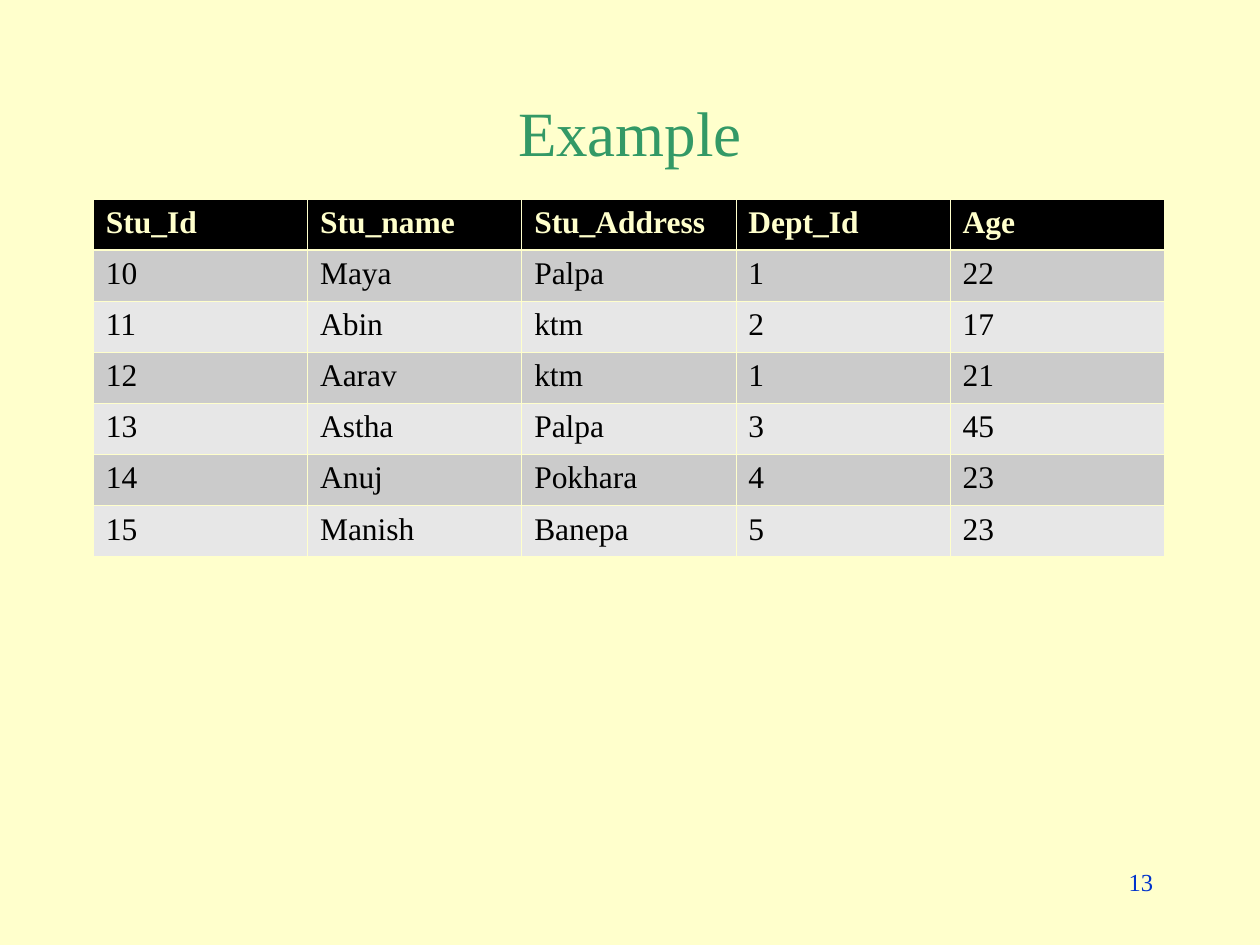
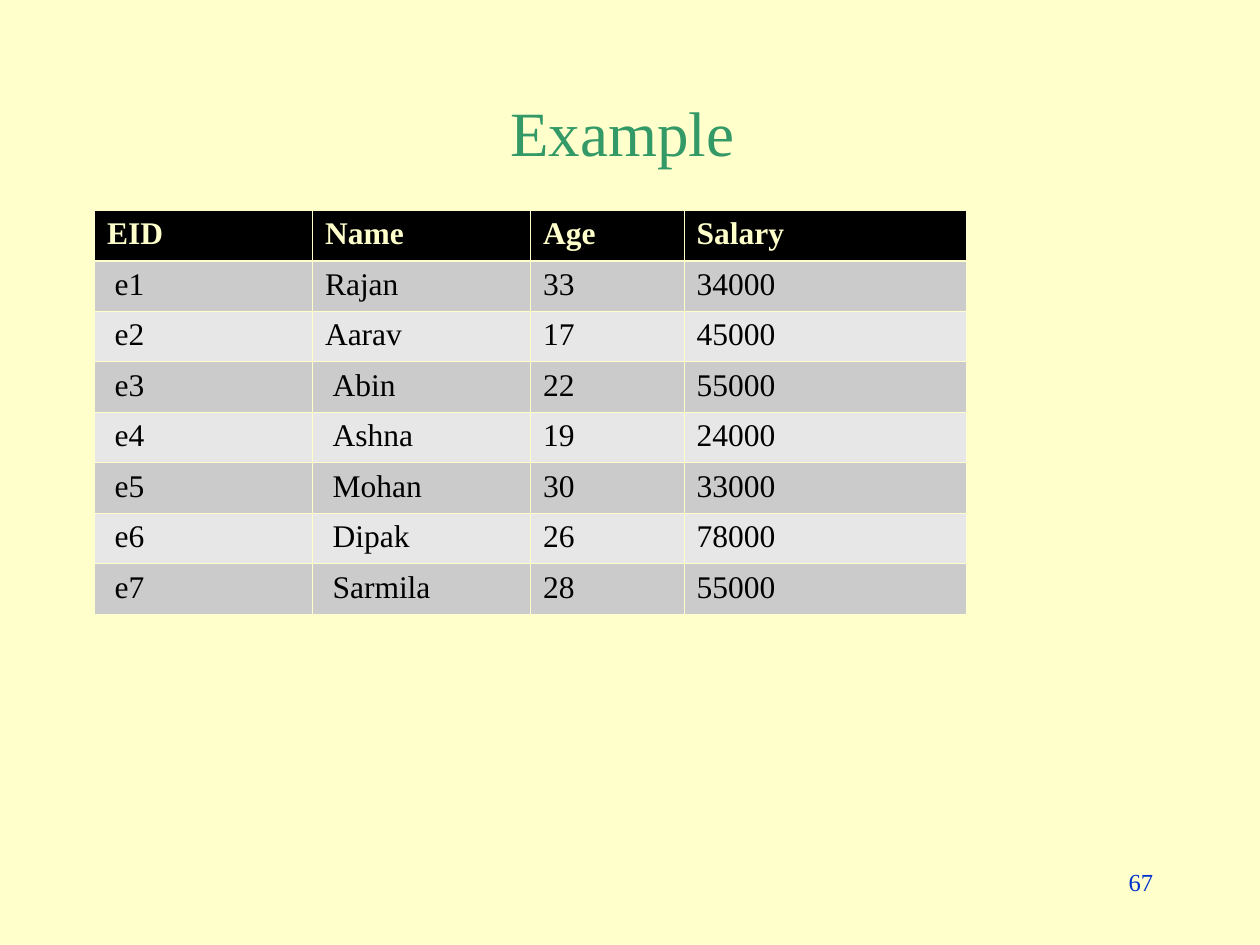
from lxml import etree
from pptx import Presentation
from pptx import util as u
from pptx.dml.color import RGBColor
from pptx.enum import text
from pptx.oxml import ns

COLORS = {
    "page": "FFFFCC",
    "title": "339966",
    "number": "0033CC",
    "header": "000000",
    "body": "000000",
    "dark_band": "CBCBCB",
    "light_band": "E7E7E7",
}
FONT = "Times New Roman"
THIN, THICK = 0.45, 1.47
MARGIN, INDENT = 0.1, 0.06

STUDENTS = [
    ("Stu_Id", "Stu_name", "Stu_Address", "Dept_Id", "Age"),
    ("10", "Maya", "Palpa", "1", "22"),
    ("11", "Abin", "ktm", "2", "17"),
    ("12", "Aarav", "ktm", "1", "21"),
    ("13", "Astha", "Palpa", "3", "45"),
    ("14", "Anuj", "Pokhara", "4", "23"),
    ("15", "Manish", "Banepa", "5", "23"),
]
EMPLOYEES = [
    ("EID", "Name", "Age", "Salary"),
    ("e1", "Rajan", "33", "34000"),
    ("e2", "Aarav", "17", "45000"),
    ("e3", "Abin", "22", "55000"),
    ("e4", "Ashna", "19", "24000"),
    ("e5", "Mohan", "30", "33000"),
    ("e6", "Dipak", "26", "78000"),
    ("e7", "Sarmila", "28", "55000"),
]


class ExampleDeck:
    """Holds the shared style and the current slide of the example tables."""

    def __init__(self):
        self.deck = Presentation()
        self.deck.slide_width = u.Inches(10)
        self.deck.slide_height = u.Inches(7.5)
        self.fill(self.deck.slide_master.background, "page")
        self.page = None

    def fill(self, target, color):
        target.fill.solid()
        target.fill.fore_color.rgb = RGBColor.from_string(COLORS[color])

    def add_span(self, frame, words, size, color, bold=False, align=text.PP_ALIGN.LEFT):
        para = frame.paragraphs[0]
        para.alignment = align
        span = para.add_run()
        span.text = words
        span.font.name = FONT
        span.font.size = u.Pt(size)
        span.font.bold = bold
        span.font.color.rgb = RGBColor.from_string(COLORS[color])

    def add_page(self, title, number, title_margin_right=MARGIN):
        self.page = self.deck.slides.add_slide(self.deck.slide_layouts[5])
        box = self.page.shapes.title
        box.left, box.top = u.Inches(0.75), u.Inches(0.67)
        box.width, box.height = u.Inches(8.5), u.Inches(0.75)
        frame = box.text_frame
        frame.vertical_anchor = text.MSO_ANCHOR.MIDDLE
        frame.margin_right = u.Inches(title_margin_right)
        self.add_span(frame, title, 36, "title", align=text.PP_ALIGN.CENTER)
        self.add_number(number)

    def add_number(self, number):
        box = self.page.shapes.add_textbox(
            u.Inches(7.17), u.Inches(6.83), u.Inches(2.08), u.Inches(0.5))
        box.text_frame.word_wrap = True
        self.add_span(box.text_frame, str(number), 14, "number",
                      align=text.PP_ALIGN.RIGHT)

    def add_borders(self, cell, row):
        properties = cell._tc.get_or_add_tcPr()
        widths = {
            "L": THIN,
            "R": THIN,
            "T": THICK if row == 1 else THIN,
            "B": THICK if row == 0 else THIN,
        }
        for side, width in widths.items():
            line = etree.SubElement(properties, ns.qn(f"a:ln{side}"), w=str(u.Pt(width)))
            solid = etree.SubElement(line, ns.qn("a:solidFill"))
            etree.SubElement(solid, ns.qn("a:srgbClr"), val=COLORS["page"])

    def add_table(self, left, top, widths, height, rows, indent_from=None):
        indent_from = indent_from or {}
        frame = self.page.shapes.add_table(
            len(rows), len(widths), u.Inches(left), u.Inches(top),
            u.Inches(sum(widths)), u.Inches(height))
        table = frame.table
        table.first_row = table.horz_banding = False
        for column, width in zip(table.columns, widths):
            column.width = u.Inches(width)
        for row, values in enumerate(rows):
            table.rows[row].height = u.Inches(height / len(rows))
            header = row == 0
            band = "header" if header else "dark_band" if row % 2 else "light_band"
            for column, value in enumerate(values):
                cell = table.cell(row, column)
                self.add_borders(cell, row)
                self.fill(cell, band)
                indented = row >= indent_from.get(column, len(rows))
                cell.margin_left = u.Inches(MARGIN + INDENT * indented)
                self.add_span(cell.text_frame, value, 18,
                              "page" if header else "body", bold=header)


def main():
    example = ExampleDeck()
    example.add_page("Example", 13)
    example.add_table(0.74, 1.58, [1.7] * 5, 2.84, STUDENTS)
    example.add_page("Example", 67, title_margin_right=0.22)
    example.add_table(0.75, 1.67, [1.73, 1.73, 1.22, 2.24], 3.2, EMPLOYEES,
                      indent_from={0: 1, 1: 3})
    example.deck.save("out.pptx")


if __name__ == "__main__":
    main()
